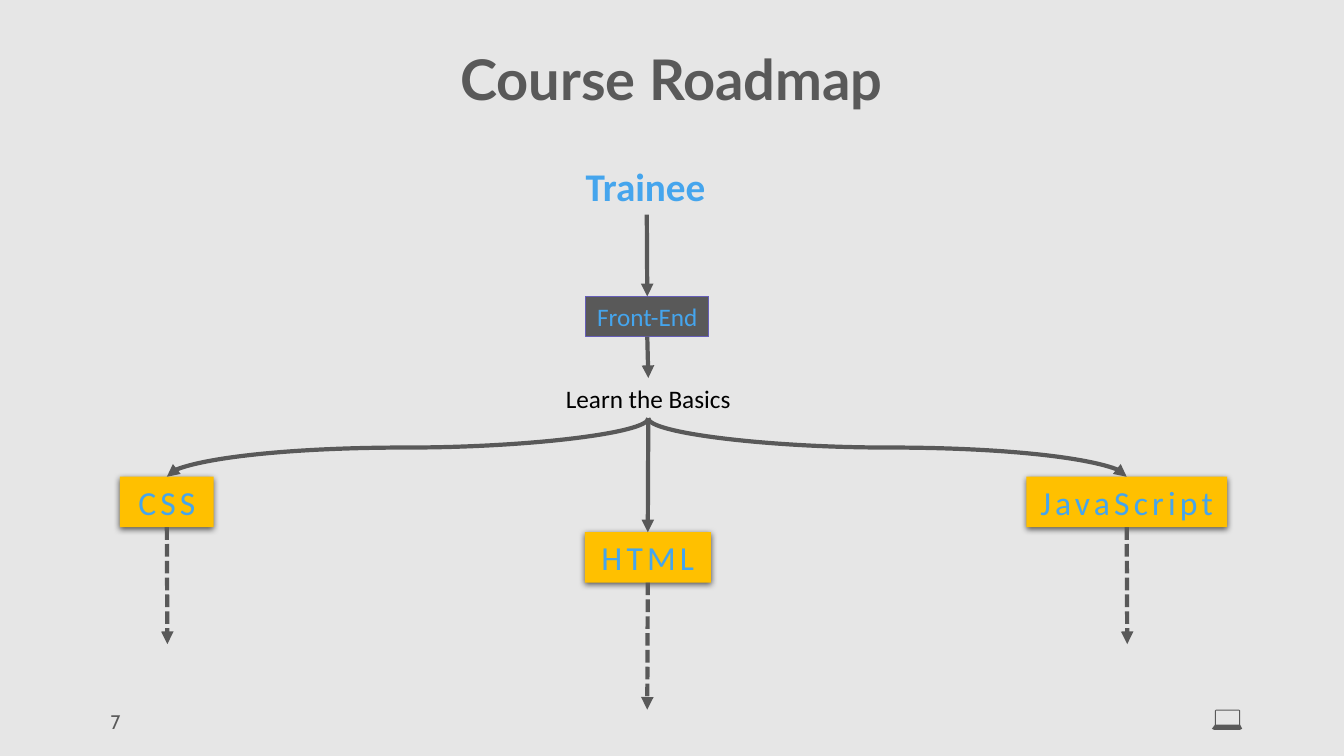
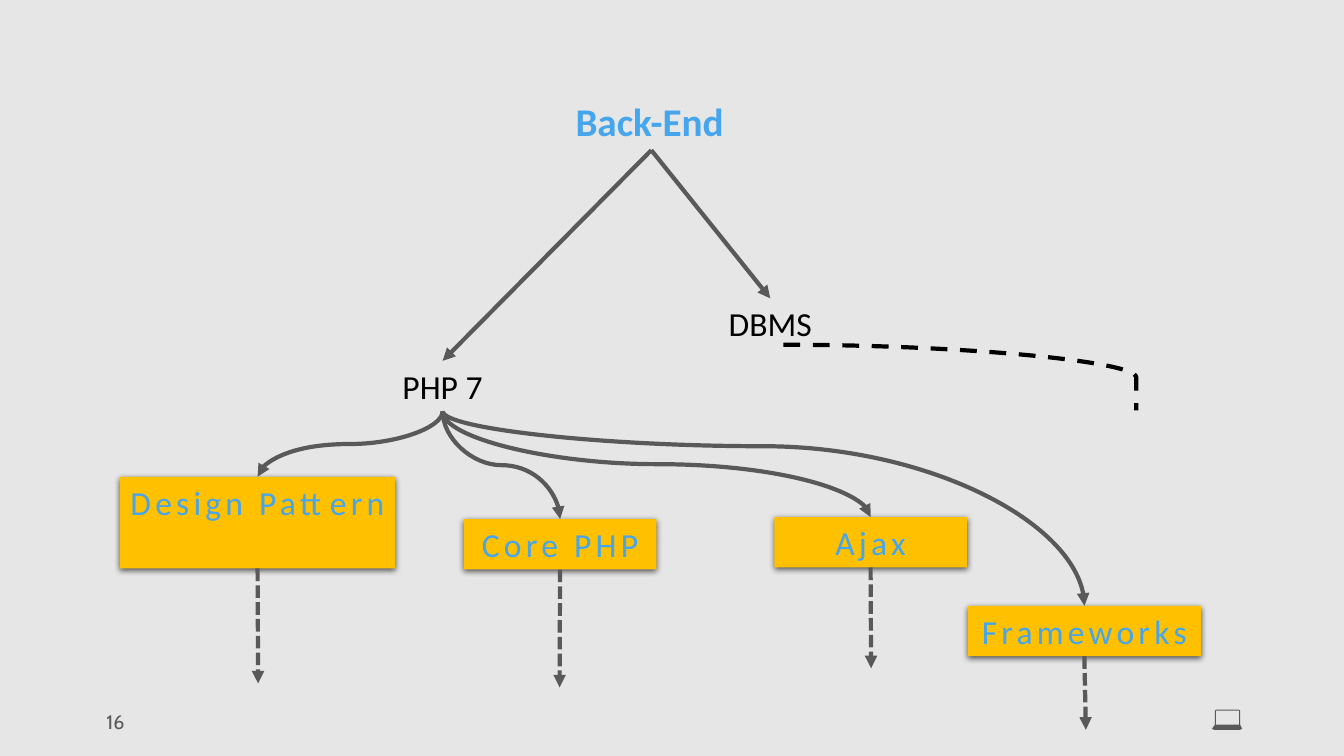
from lxml import etree
from pptx import Presentation
from pptx.dml.color import RGBColor
from pptx.enum.dml import MSO_LINE
from pptx.enum.shapes import MSO_CONNECTOR, MSO_SHAPE
from pptx.enum.text import MSO_ANCHOR, MSO_AUTO_SIZE, PP_ALIGN
from pptx.oxml.ns import qn
from pptx.util import Inches, Pt

STRAIGHT, CURVE = MSO_CONNECTOR.STRAIGHT, MSO_CONNECTOR.CURVE
RECT = MSO_SHAPE.RECTANGLE
LEFT, CENTER = PP_ALIGN.LEFT, PP_ALIGN.CENTER
TOP_ANCHOR, MIDDLE = MSO_ANCHOR.TOP, MSO_ANCHOR.MIDDLE
NO_FIT = MSO_AUTO_SIZE.NONE
SHORT_DASH, LONG_DASH = MSO_LINE.SQUARE_DOT, MSO_LINE.DASH
TOP, BOTTOM = 0, 2
TITLE_ONLY, BLANK = 5, 6

PAPER, GREY, BLUE, BLACK = "E6E6E6", "595959", "45A5ED", "000000"
AMBER, VIOLET = "FFC000", "665EB8"

LAPTOP_SCREEN = [(12.29, 7.19), (12.06, 7.19), (12.06, 7.05), (12.29, 7.05)]
LAPTOP_BODY = [(12.02, 7.23), (12.04, 7.24), (12.3, 7.24), (12.32, 7.23),
               (12.3, 7.19), (12.3, 7.05), (12.29, 7.04), (12.06, 7.04),
               (12.05, 7.05), (12.05, 7.19)]


def rgb(value):
    return RGBColor.from_string(value)


def put_text(sp, text, size=18, color=BLACK, font="Calibri", bold=False,
             align=CENTER, anchor=TOP_ANCHOR, wrap=True, spacing=0, line=1.0):
    tf = sp.text_frame
    tf.auto_size = NO_FIT
    tf.word_wrap = wrap
    tf.vertical_anchor = anchor
    p = tf.paragraphs[0]
    p.alignment = align
    p.line_spacing = line
    r = p.add_run()
    r.text = text
    r.font.name, r.font.size, r.font.bold = font, Pt(size), bold
    r.font.color.rgb = rgb(color)
    if spacing:
        r.font._element.set("spc", str(spacing * 100))


def place(sp, x, y, w, h):
    sp.left, sp.top, sp.width, sp.height = map(Inches, (x, y, w, h))


def label(s, text, x, y, w, h, **fmt):
    sp = s.shapes.add_textbox(*map(Inches, (x, y, w, h)))
    put_text(sp, text, **fmt)
    return sp


def heading(s, text, x, y, w):
    return label(s, text, x, y, w, 0.57, size=28, color=BLUE, bold=True,
                 align=LEFT, wrap=False)


def box(s, text, x, y, w, h, fill, **fmt):
    sp = s.shapes.add_shape(RECT, *map(Inches, (x, y, w, h)))
    sp.shadow.inherit = False
    sp.fill.solid()
    sp.fill.fore_color.rgb = rgb(fill)
    sp.line.fill.background()
    put_text(sp, text, color=BLUE, wrap=False, **fmt)
    return sp


def add_shadow(sp):
    effects = sp._element.spPr.find(qn("a:effectLst"))
    outer = etree.SubElement(effects, qn("a:outerShdw"), blurRad=str(Pt(4.5)),
                             dist=str(Pt(1.5)), dir="5400000",
                             algn="ctr", rotWithShape="0")
    color = etree.SubElement(outer, qn("a:srgbClr"), val=BLACK)
    etree.SubElement(color, qn("a:alpha"), val="63000")


def style_connector(c, color=GREY, dash=None, arrow=True):
    c.line.color.rgb = rgb(color)
    c.line.width = Pt(3)
    if dash:
        c.line.dash_style = dash
    spPr = c._element.spPr
    if arrow:
        etree.SubElement(spPr.find(qn("a:ln")), qn("a:tailEnd"), type="triangle")
    etree.SubElement(spPr, qn("a:effectLst"))


def set_bend(c, bend):
    guides = c._element.spPr.find(qn("a:prstGeom")).get_or_add_avLst()
    etree.SubElement(guides, qn("a:gd"), name="adj1",
                     fmla=f"val {round(bend * 100000)}")


def bottom_center(sp):
    return sp.left + sp.width // 2, sp.top + sp.height


def arrow(s, parent, child):
    c = s.shapes.add_connector(STRAIGHT, 0, 0, 0, 0)
    c.begin_connect(parent, BOTTOM)
    c.end_connect(child, TOP)
    style_connector(c)


def branch(s, parent, child, bend=0.5):
    x1, y1 = bottom_center(parent)
    x2, y2 = bottom_center(child)[0], child.top
    width, height = y2 - y1, abs(x2 - x1)
    c = s.shapes.add_connector(CURVE, 0, 0, 0, 0)
    c.left, c.top = (x1 + x2 - width) // 2, (y1 + y2 - height) // 2
    c.width, c.height = width, height
    xfrm = c._element.spPr.find(qn("a:xfrm"))
    if x2 < x1:
        xfrm.set("rot", "5400000")
    else:
        xfrm.set("rot", "16200000")
        xfrm.set("flipH", "1")
    set_bend(c, bend)
    style_connector(c)


def topic(s, text, x, y, w, tip, h=0.5):
    sp = box(s, text, x, y, w, h, AMBER, size=24, spacing=3)
    add_shadow(sp)
    c = s.shapes.add_connector(STRAIGHT, 0, 0, *map(Inches, tip))
    c.begin_connect(sp, BOTTOM)
    style_connector(c, dash=SHORT_DASH)
    return sp


def laptop(s):
    screen, body = ([(Inches(x), Inches(y)) for x, y in outline]
                    for outline in (LAPTOP_SCREEN, LAPTOP_BODY))
    fb = s.shapes.build_freeform(*screen[0])
    fb.add_line_segments(screen[1:], close=True)
    fb.move_to(*body[0])
    fb.add_line_segments(body[1:], close=True)
    sp = fb.convert_to_shape()
    sp.shadow.inherit = False
    sp.fill.solid()
    sp.fill.fore_color.rgb = rgb(GREY)
    sp.line.fill.background()


def new_slide(prs, layout, number):
    s = prs.slides.add_slide(prs.slide_layouts[layout])
    label(s, number, 0.84, 6.99, 0.61, 0.34, size=14, color=GREY, font="Cabin")
    laptop(s)
    return s


def front_end(prs):
    s = new_slide(prs, TITLE_ONLY, "7")
    place(s.shapes.title, 1.66, 0.47, 10, 0.69)
    put_text(s.shapes.title, "Course Roadmap", size=40, color=GREY, font="Lato",
             bold=True, anchor=MIDDLE, line=0.9)
    trainee = heading(s, "Trainee", 5.71, 1.56, 1.41)
    front = box(s, "Front-End", 5.81, 2.94, 1.22, 0.4, GREY, size=18)
    front.line.color.rgb = rgb(VIOLET)
    front.line.width = Pt(0.5)
    basics = label(s, "Learn the Basics", 5.25, 3.75, 2.36, 0.4)
    arrow(s, trainee, front)
    arrow(s, front, basics)
    css = topic(s, "CSS", 1.19, 4.73, 0.93, (1.66, 6.39))
    html = topic(s, "HTML", 5.8, 5.28, 1.25, (6.42, 7.04))
    script = topic(s, "JavaScript", 10.18, 4.73, 1.99, (11.18, 6.39))
    branch(s, basics, css)
    arrow(s, basics, html)
    branch(s, basics, script)


def back_end(prs):
    s = new_slide(prs, BLANK, "16")
    back = heading(s, "Back-End", 5.61, 0.92, 1.7)
    php = label(s, "PHP 7", 3.21, 3.58, 2.36, 0.5, size=24)
    dbms = label(s, "DBMS", 6.46, 2.96, 2.36, 0.5, size=24)
    arrow(s, back, php)
    arrow(s, back, dbms)
    pattern = topic(s, "Design Pattern", 1.19, 4.73, 2.73, (2.56, 6.78), h=0.91)
    core = topic(s, "Core PHP", 4.6, 5.15, 1.91, (5.55, 6.82))
    ajax = topic(s, "Ajax", 7.68, 5.13, 1.91, (8.64, 6.63))
    frameworks = topic(s, "Frameworks", 9.6, 6.01, 2.31, (10.77, 7.24))
    for child in (pattern, core, ajax):
        branch(s, php, child)
    branch(s, php, frameworks, bend=0.18)
    c = s.shapes.add_connector(CURVE, *map(Inches, (7.77, 3.42, 11.27, 4.07)))
    set_bend(c, 1)
    style_connector(c, color=BLACK, dash=LONG_DASH, arrow=False)


def main():
    prs = Presentation()
    prs.slide_width, prs.slide_height = Inches(13.33), Inches(7.5)
    fill = prs.slide_master.background.fill
    fill.solid()
    fill.fore_color.rgb = rgb(PAPER)
    front_end(prs)
    back_end(prs)
    prs.save("out.pptx")


if __name__ == "__main__":
    main()
